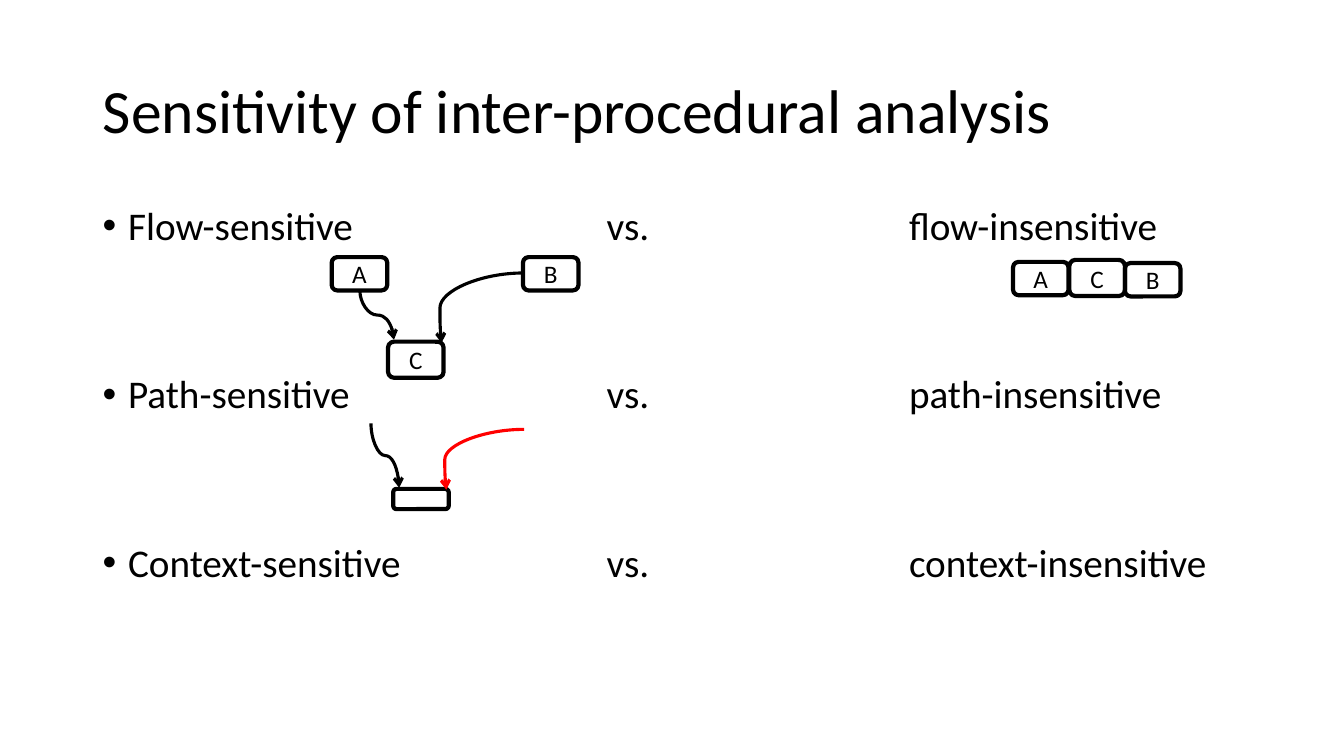
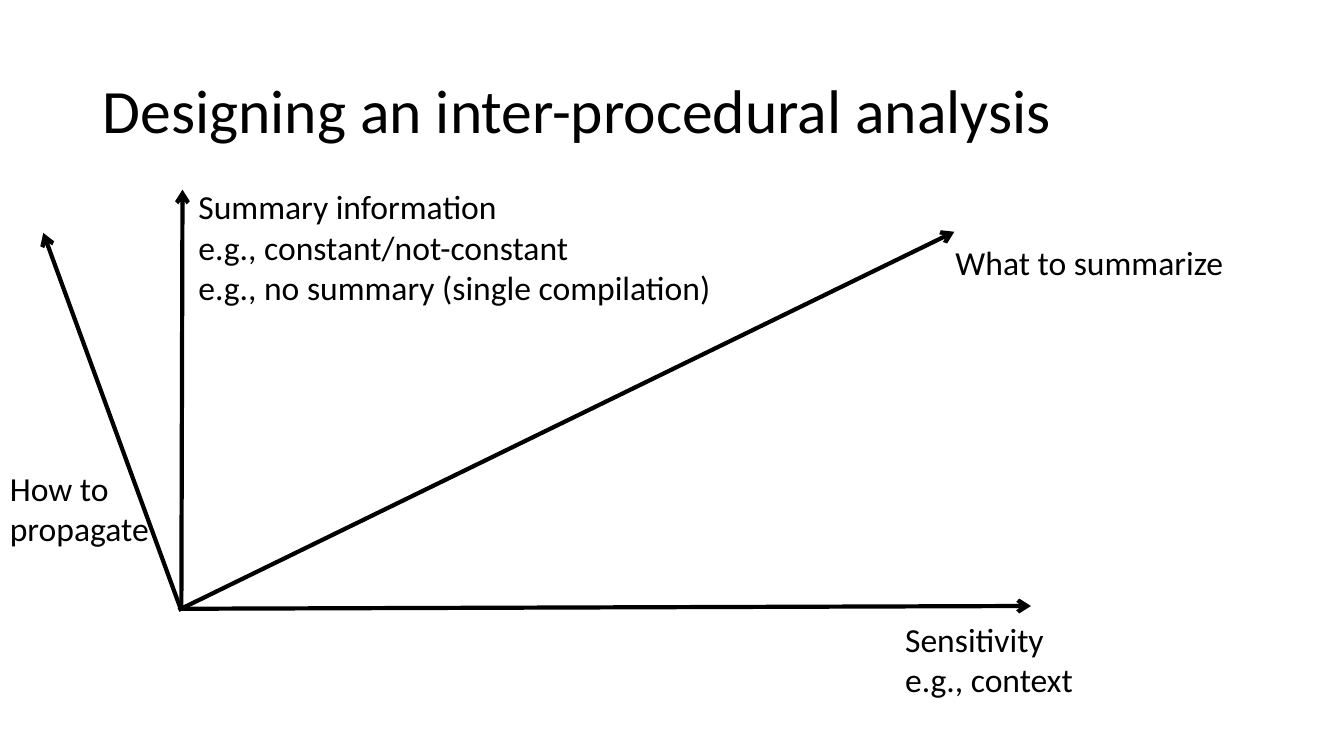
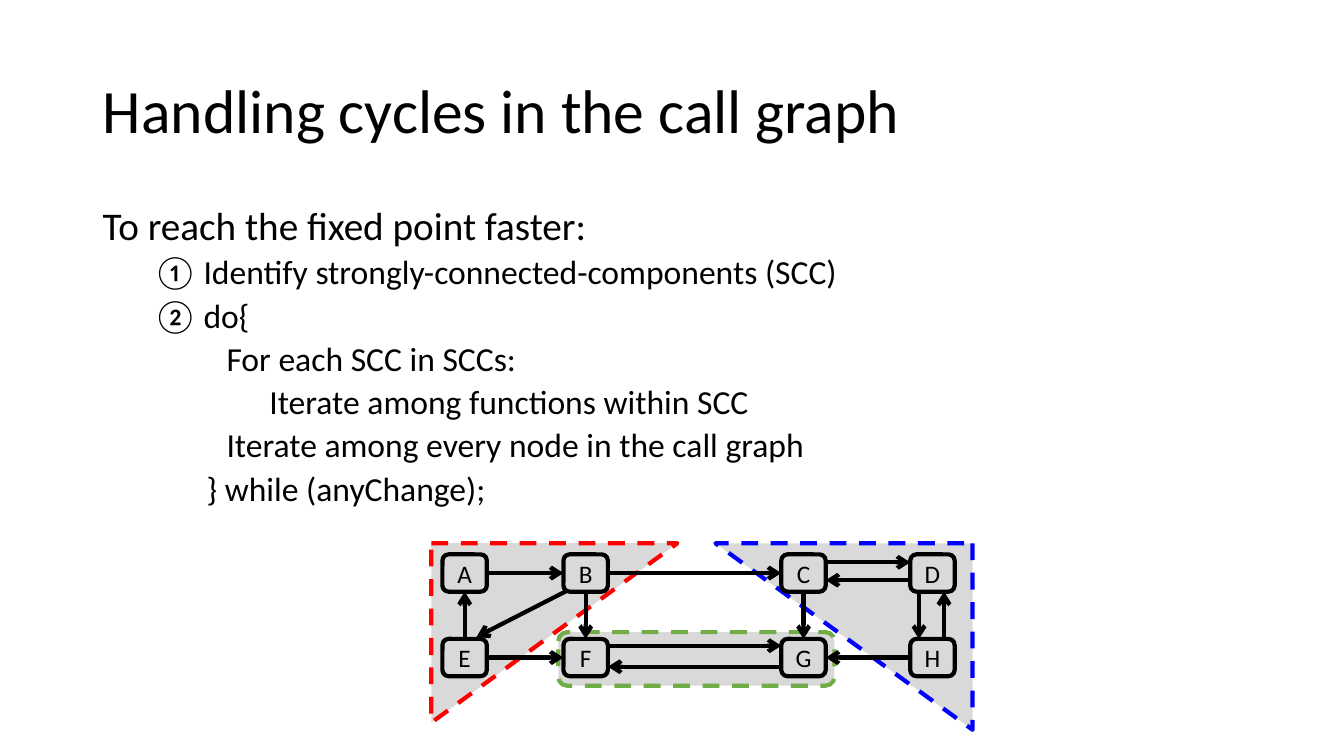
import pptx
import pptx.util
import pptx.dml.color
import pptx.enum.dml
import pptx.enum.shapes
import pptx.enum.text
import pptx.oxml
import pptx.oxml.ns
from dataclasses import dataclass

Cm = pptx.util.Cm
Pt = pptx.util.Pt
Shape = pptx.enum.shapes.MSO_SHAPE
Link = pptx.enum.shapes.MSO_CONNECTOR
Align = pptx.enum.text.PP_ALIGN
Anchor = pptx.enum.text.MSO_ANCHOR
Fit = pptx.enum.text.MSO_AUTO_SIZE


# Shared look
@dataclass(frozen=True)
class Theme:
    font: str = "Calibri"
    ink: str = "000000"
    red: str = "FF0000"
    blue: str = "0000FF"
    green: str = "70AD47"
    grey: str = "D9D9D9"
    title: int = 44
    body: int = 28
    note: int = 24
    node: int = 18
    thick: float = 3
    thin: float = 2.25
    head: tuple = (2.34, 1.02, 29.21, 3.68)
    main: tuple = (2.34, 5.08, 29.21, 12.09)


THEME = Theme()


def rgb(code):
    return pptx.dml.color.RGBColor.from_string(code)


def add_xml(parent, tag, **attrs):
    node = pptx.oxml.parse_xml(f"<a:{tag} {pptx.oxml.ns.nsdecls('a')}/>")
    for name, value in attrs.items():
        node.set(name, str(value))
    parent.append(node)
    return node


# Text
def write(frame, text, size=THEME.note, align=Align.LEFT, space=None,
          before=0, left=0, hang=0, bullet=None, number=None, tabs=(),
          more=False):
    """Write each line of text as a paragraph; more=True adds to the frame."""
    for i, line in enumerate(text.split("\n")):
        fresh = more or i > 0
        para = frame.add_paragraph() if fresh else frame.paragraphs[0]
        para.alignment = align
        para.space_before = Pt(before)
        if space:
            para.line_spacing = space
        props = para._p.get_or_add_pPr()
        props.set("marL", str(Cm(left)))
        props.set("indent", str(Cm(-hang)))
        if bullet:
            add_xml(props, "buFont", typeface="Arial")
            add_xml(props, "buChar", char=bullet)
        elif number:
            add_xml(props, "buFont", typeface="+mj-lt")
            add_xml(props, "buAutoNum", type=number)
        else:
            add_xml(props, "buNone")
        if tabs:
            stops = add_xml(props, "tabLst")
            for stop in tabs:
                add_xml(stops, "tab", pos=Cm(stop), algn="l")
        run = para.add_run()
        run.text = line
        run.font.name = THEME.font
        run.font.size = Pt(size)
        run.font.color.rgb = rgb(THEME.ink)


def add_slide(deck, title):
    slide = deck.slides.add_slide(deck.slide_layouts[5])
    head = slide.shapes.title
    head.left, head.top, head.width, head.height = map(Cm, THEME.head)
    frame = head.text_frame
    frame.auto_size = Fit.NONE
    frame.vertical_anchor = Anchor.MIDDLE
    write(frame, title, size=THEME.title, space=0.9)
    return slide


def add_text(slide, box, wrap=True):
    frame = slide.shapes.add_textbox(*map(Cm, box)).text_frame
    frame.word_wrap = wrap
    return frame


# Shapes
def add_box(slide, box, text="", kind=Shape.ROUNDED_RECTANGLE,
            line=THEME.ink, fill=None, dash=False, turn=0):
    shape = slide.shapes.add_shape(kind, *map(Cm, box))
    shape.shadow.inherit = False
    shape.rotation = turn
    shape.line.color.rgb = rgb(line)
    shape.line.width = Pt(THEME.thick)
    if dash:
        shape.line.dash_style = pptx.enum.dml.MSO_LINE.DASH
    if fill:
        shape.fill.solid()
        shape.fill.fore_color.rgb = rgb(fill)
    else:
        shape.fill.background()
    if text:
        shape.text_frame.vertical_anchor = Anchor.MIDDLE
        write(shape.text_frame, text, size=THEME.node, align=Align.CENTER)


def add_arrow(slide, start, end, kind=Link.STRAIGHT, color=THEME.ink,
              width=THEME.thick):
    arrow = slide.shapes.add_connector(kind, *map(Cm, (*start, *end)))
    arrow.line.color.rgb = rgb(color)
    arrow.line.width = Pt(width)
    add_xml(arrow.line._get_or_add_ln(), "tailEnd", type="arrow")
    add_xml(arrow._element.spPr, "effectLst")
    return arrow


def add_curve(slide, start, end, color=THEME.ink, bend=None):
    """Curve that leaves sideways if a bend is given, else downwards."""
    if bend is None:
        (x1, y1), (x2, y2) = start, end
        mid_x, mid_y = (x1 + x2) / 2, (y1 + y2) / 2
        half_x, half_y = (x2 - x1) / 2, (y2 - y1) / 2
        start = mid_x + half_y, mid_y - half_x
        end = mid_x - half_y, mid_y + half_x
    arrow = add_arrow(slide, start, end, Link.CURVE, color, THEME.thin)
    props = arrow._element.spPr
    if bend is None:
        props.find(pptx.oxml.ns.qn("a:xfrm")).set("rot", str(270 * 60000))
    else:
        geom = props.find(pptx.oxml.ns.qn("a:prstGeom"))
        guides = geom.find(pptx.oxml.ns.qn("a:avLst"))
        if guides is None:
            guides = add_xml(geom, "avLst")
        add_xml(guides, "gd", name="adj1", fmla=f"val {round(bend * 100000)}")


# Slides
def show_kinds(deck):
    slide = add_slide(deck, "Sensitivity of inter-procedural analysis")
    frame = add_text(slide, THEME.main)
    for i, kind in enumerate(("Flow", "Path", "Context")):
        write(frame, f"{kind}-sensitive\tvs.\t{kind.lower()}-insensitive",
              size=THEME.body, space=0.9, before=90 if i else 10,
              left=0.64, hang=0.64, bullet="•", tabs=(12.7, 20.32),
              more=i > 0)

    wide = 1.4
    for name, x, y, high in (
            ("C", 9.78, 8.61, 0.91), ("A", 8.36, 6.48, 0.84),
            ("B", 13.18, 6.48, 0.84), ("", 9.91, 12.32, 0.51),
            ("C", 26.95, 6.55, 0.91), ("A", 25.53, 6.6, 0.84),
            ("B", 28.35, 6.63, 0.84)):
        add_box(slide, (x, y, wide, high), name)

    add_curve(slide, (9.07, 7.32), (9.93, 8.56))
    add_curve(slide, (13.18, 6.88), (11.13, 8.64), bend=1.02)
    add_curve(slide, (9.35, 10.67), (10.06, 12.29))
    add_curve(slide, (13.21, 10.82), (11.25, 12.34), THEME.red, bend=1.02)


def show_axes(deck):
    slide = add_slide(deck, "Designing an inter-procedural analysis")
    for start, end in (
            ((4.57, 15.34), (25.98, 15.27)), ((4.57, 15.39), (4.6, 4.78)),
            ((4.5, 15.37), (24.05, 5.84)), ((4.57, 15.39), (1.09, 5.87))):
        add_arrow(slide, start, end)

    for text, box in (
            ("Sensitivity\ne.g., context", (22.56, 15.47, 4.8, 2.31)),
            ("Summary information\ne.g., constant/not-constant\n"
             "e.g., no summary (single compilation)",
             (4.75, 4.57, 13.54, 3.33)),
            ("What to summarize", (23.83, 5.97, 7.37, 1.27)),
            ("How to\npropagate", (0, 11.66, 4.09, 2.31))):
        write(add_text(slide, box, wrap=False), text)


def show_graph(deck):
    slide = add_slide(deck, "Handling cycles in the call graph")
    frame = add_text(slide, THEME.main)
    write(frame, "To reach the fixed point faster:", size=THEME.body,
          space=0.9, before=10)
    step = dict(left=2.54, hang=1.27, number="circleNumDbPlain")
    for text, form in (
            ("Identify strongly-connected-components (SCC)", step),
            ("do{", step),
            ("For each SCC in SCCs:", dict(left=3.12)),
            ("Iterate among functions within SCC", dict(left=4.2)),
            ("Iterate among every node in the call graph", dict(left=3.12)),
            ("} while (anyChange);", dict(left=2.62))):
        write(frame, text, space=0.9, before=5, more=True, **form)

    # Component areas
    area = dict(fill=THEME.grey, dash=True)
    add_box(slide, (14.07, 15.93, 6.96, 1.35), line=THEME.green, **area)
    area["kind"] = Shape.RIGHT_TRIANGLE
    add_box(slide, (18.03, 13.69, 6.48, 4.7), line=THEME.blue, turn=180, **area)
    add_box(slide, (11.71, 12.85, 4.52, 6.2), line=THEME.red, turn=90, **area)

    # Nodes, two rows of four
    wide, high = 1.12, 0.94
    spots = {}
    for row, y in zip(("ABCD", "EFGH"), (13.97, 16.1)):
        for name, x in zip(row, (11.15, 14.2, 19.69, 22.94)):
            add_box(slide, (x, y, wide, high), name)
            spots[name] = x + wide / 2, y + high / 2

    # Calls, each with its shift from the line between centres
    for pair, shift in (
            ("AB", 0), ("EA", 0), ("EF", 0), ("BF", 0), ("BC", 0),
            ("CG", 0), ("HG", 0), ("DH", -0.34), ("HD", 0.29),
            ("CD", -0.27), ("DC", 0.18), ("FG", -0.3), ("GF", 0.23)):
        (x1, y1), (x2, y2) = spots[pair[0]], spots[pair[1]]
        if y1 == y2:
            gap = wide / 2 if x2 > x1 else -wide / 2
            add_arrow(slide, (x1 + gap, y1 + shift), (x2 - gap, y2 + shift))
        else:
            gap = high / 2 if y2 > y1 else -high / 2
            add_arrow(slide, (x1 + shift, y1 + gap), (x2 + shift, y2 - gap))
    add_arrow(slide, (14.3, 14.88), (12.01, 16.05))


def main():
    deck = pptx.Presentation()
    deck.slide_width, deck.slide_height = Cm(33.87), Cm(19.05)
    show_kinds(deck)
    show_axes(deck)
    show_graph(deck)
    deck.save("out.pptx")


if __name__ == "__main__":
    main()
